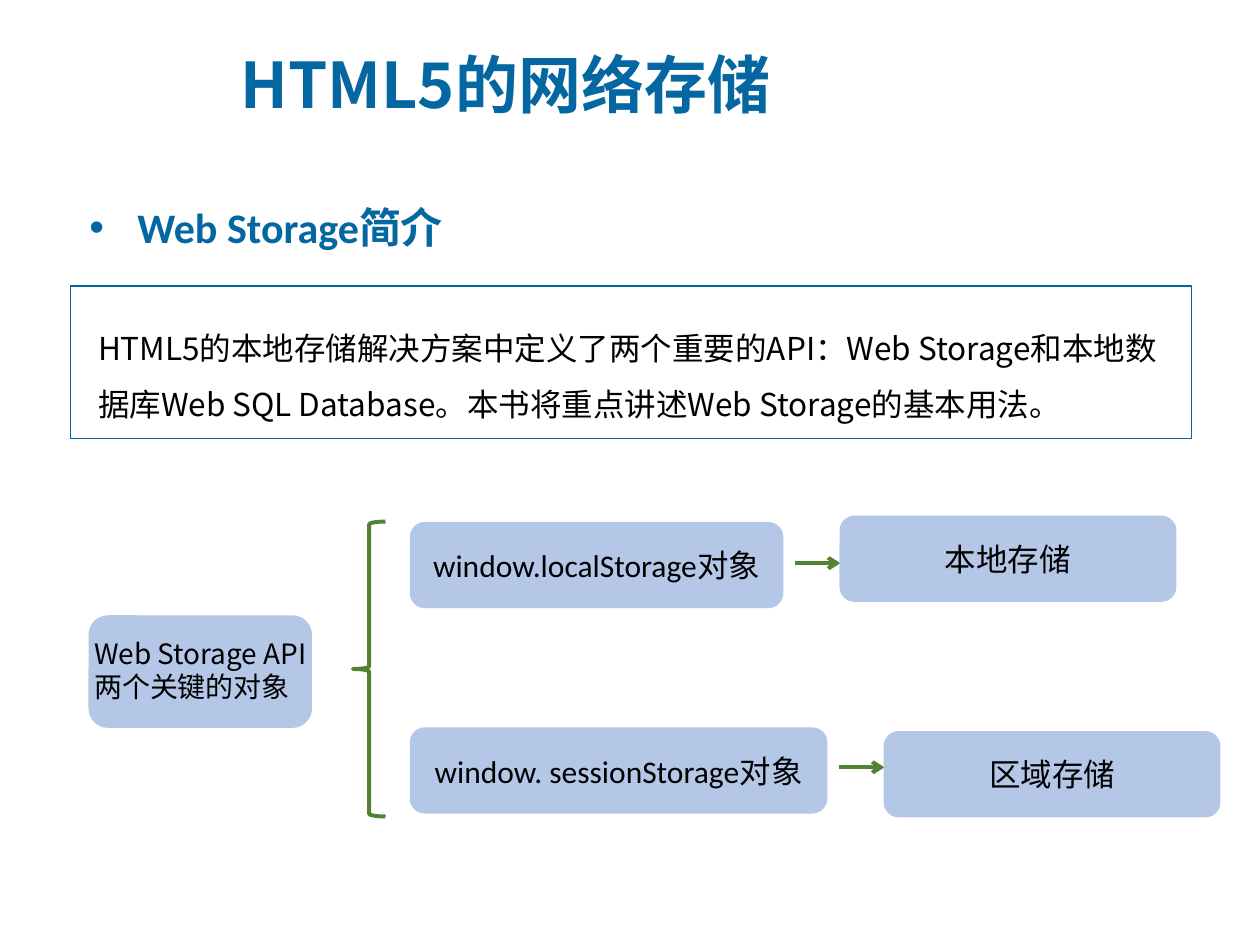
import pptx
import pptx.util
import pptx.dml.color
import pptx.enum.shapes
import pptx.enum.text
import pptx.oxml
import pptx.oxml.ns

SHAPE = pptx.enum.shapes.MSO_SHAPE
ALIGN = pptx.enum.text.PP_ALIGN
ANCHOR = pptx.enum.text.MSO_ANCHOR
AUTO = pptx.enum.text.MSO_AUTO_SIZE

WIDTH, HEIGHT = 10, 7.5
CELL = WIDTH / 100  # grid of 100 columns by 75 rows
BLUE, PALE, GREEN, BLACK, WHITE = "0567A2", "B4C7E7", "548235", "000000", "FFFFFF"
CJK = "Noto Sans CJK SC"


def color(value):
    return pptx.dml.color.RGBColor.from_string(value)


def grid(*cells):
    return [pptx.util.Inches(c * CELL) for c in cells]


def add_xml(parent, tag, **attrs):
    el = pptx.oxml.parse_xml(f"<a:{tag} {pptx.oxml.ns.nsdecls('a')}/>")
    for name, value in attrs.items():
        el.set(name, str(value))
    parent.append(el)


def set_line(sp, value, width):
    sp.line.color.rgb = color(value)
    sp.line.width = pptx.util.Pt(width)


def set_text(sp, text, size, font=CJK, ink=BLACK, bold=False,
             frame=None, para=None):
    """Fill a shape with one paragraph in one format."""
    tf = sp.text_frame
    for name, value in {"word_wrap": True, "auto_size": AUTO.NONE, **(frame or {})}.items():
        setattr(tf, name, value)
    p = tf.paragraphs[0]
    for name, value in (para or {}).items():
        setattr(p, name, value)
    r = p.add_run()
    r.text = text
    formats = {"size": pptx.util.Pt(size), "bold": bold, "name": font}
    for name, value in formats.items():
        setattr(r.font, name, value)
    r.font.color.rgb = color(ink)
    add_xml(r.font._element, "ea", typeface=CJK)
    return p


def place(sp, *cells):
    for name, value in zip(("left", "top", "width", "height"), grid(*cells)):
        setattr(sp, name, value)


def add_box(s, kind, cells, fill, line, width):
    sp = s.shapes.add_shape(kind, *grid(*cells))
    sp.shadow.inherit = False
    if fill:
        sp.fill.solid()
        sp.fill.fore_color.rgb = color(fill)
    else:
        sp.fill.background()
    set_line(sp, line, width)
    return sp


def add_node(s, cells, text=None, font=CJK):
    sp = add_box(s, SHAPE.ROUNDED_RECTANGLE, cells, PALE, PALE, 1)
    if text:
        set_text(sp, text, 18, font, frame={"vertical_anchor": ANCHOR.MIDDLE},
                 para={"alignment": ALIGN.CENTER})


def add_label(s, cells, text, size, **para):
    sp = s.shapes.add_textbox(*grid(*cells))
    set_text(sp, text, size, para=para)


def add_arrow(s, start, end, row):
    sp = s.shapes.add_connector(pptx.enum.shapes.MSO_CONNECTOR.STRAIGHT,
                                *grid(start, row, end, row))
    set_line(sp, GREEN, 2.25)
    add_xml(sp.line._get_or_add_ln(), "tailEnd", type="arrow")
    add_xml(sp._element.spPr, "effectLst")


def add_headings(s):
    title, body = s.placeholders
    place(title, 18.1, 2.7, 81.8, 7.9)
    set_text(title, "HTML5的网络存储", 36, ink=BLUE, bold=True,
             frame={"vertical_anchor": ANCHOR.MIDDLE}, para={"alignment": ALIGN.LEFT})
    place(body, 6.1, 13.5, 31.1, 7.1)
    p = set_text(body, "Web Storage简介", 24, "Calibri", BLUE, True,
                 frame={"word_wrap": False}, para={"line_spacing": 1.5})
    indent = grid(3.8)[0]
    pPr = p._p.get_or_add_pPr()
    pPr.set("marL", str(indent))
    pPr.set("indent", str(-indent))


def add_summary(s):
    sp = add_box(s, SHAPE.RECTANGLE, (5.6, 22.7, 89, 12.1), WHITE, BLUE, 0.75)
    add_xml(sp._element.spPr.find(".//" + pptx.oxml.ns.qn("a:srgbClr")), "alpha", val=90000)
    add_label(s, (6.8, 24.1, 86.7, 9.5),
              "HTML5的本地存储解决方案中定义了两个重要的API：Web Storage和本地数据库"
              "Web SQL Database。本书将重点讲述Web Storage的基本用法。",
              18, line_spacing=1.5)


def add_tree(s):
    # Root and brace
    add_node(s, (7.1, 48.9, 17.6, 8.8))
    add_label(s, (6.5, 50, 20.1, 6.4), "Web Storage API两个关键的对象", 16)
    add_box(s, SHAPE.LEFT_BRACE, (28, 41.4, 2.6, 23.4), None, GREEN, 2.25)

    # Each branch: object, its width and top, arrow row, kind of storage and its top
    branches = [
        ("window.localStorage对象", 29.5, 41.5, 44.7, "本地存储", 41),
        ("window. sessionStorage对象", 33, 57.8, 60.9, "区域存储", 58.1),
    ]
    left, gap, arrow, height = 32.6, 1, 3.6, 6.7
    for name, width, top, row, storage, storage_top in branches:
        start = left + width + gap
        add_node(s, (left, top, width, height), name, "Calibri")
        add_arrow(s, start, start + arrow, row)
        add_node(s, (start + arrow, storage_top, 26.6, height), storage)


def main():
    prs = pptx.Presentation()
    prs.slide_width = pptx.util.Inches(WIDTH)
    prs.slide_height = pptx.util.Inches(HEIGHT)
    s = prs.slides.add_slide(prs.slide_layouts[1])
    add_headings(s)
    add_summary(s)
    add_tree(s)
    prs.save("out.pptx")


if __name__ == "__main__":
    main()
